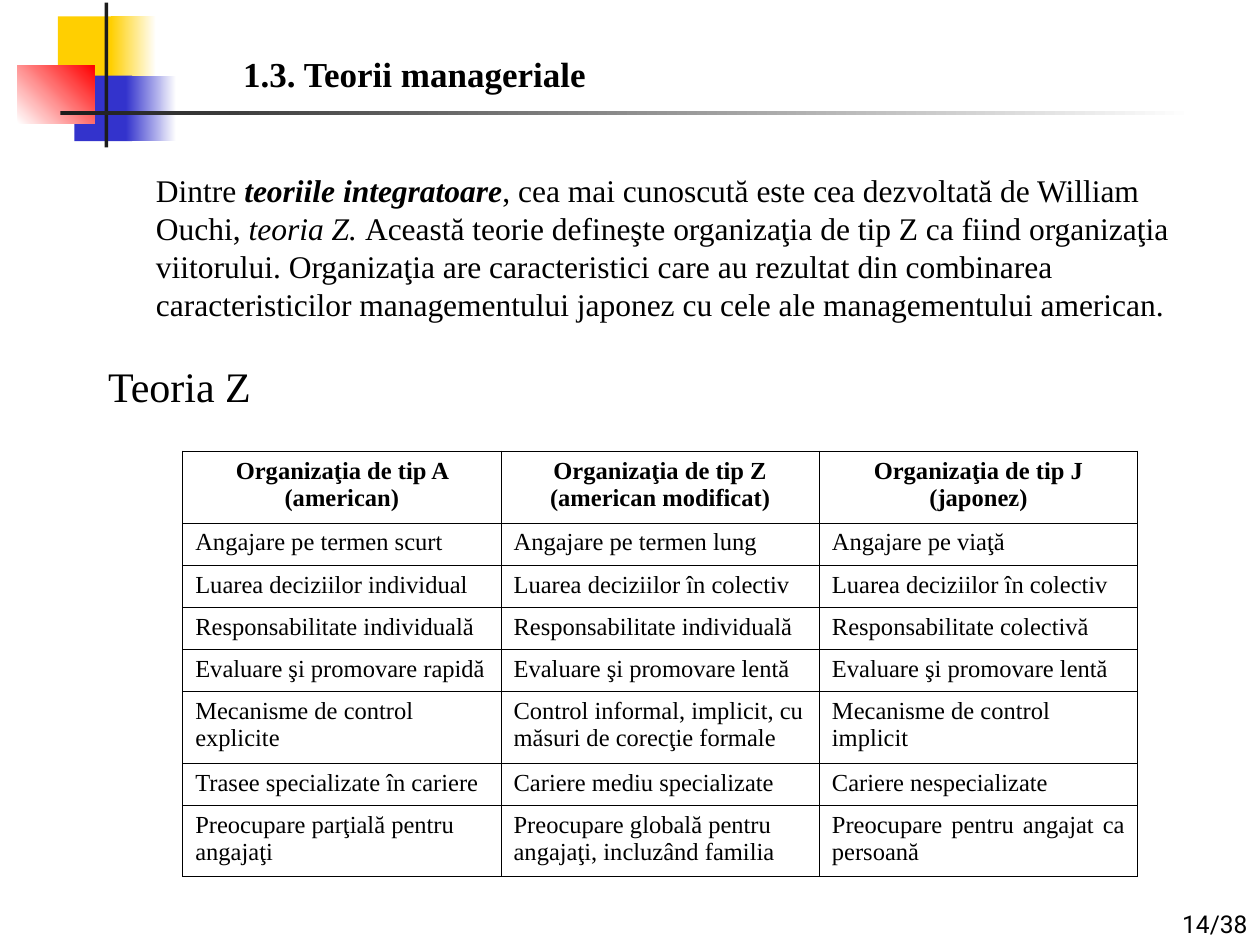
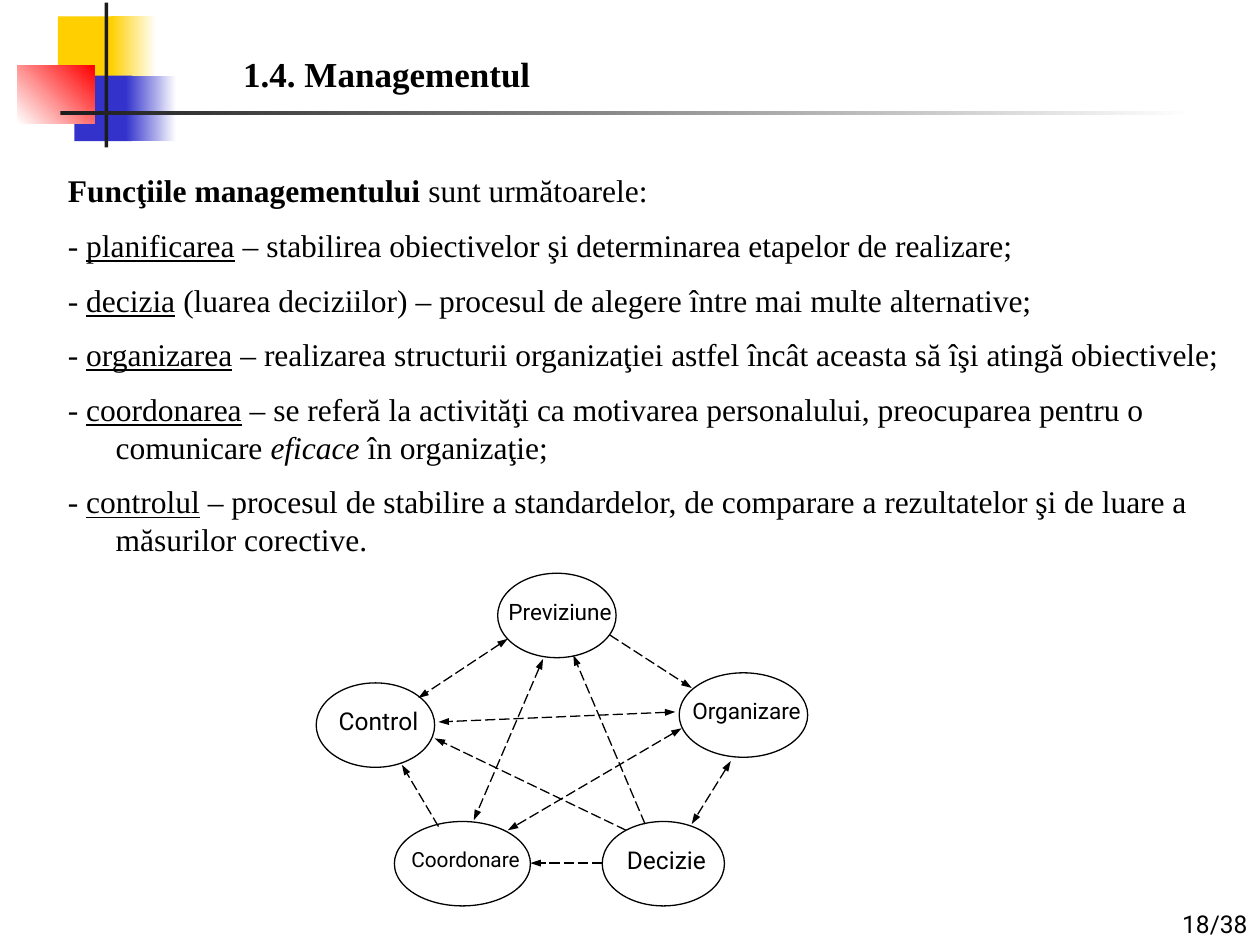
from lxml import etree
from pptx import Presentation
from pptx.dml.color import RGBColor
from pptx.enum.dml import MSO_LINE
from pptx.enum.shapes import MSO_CONNECTOR, MSO_SHAPE
from pptx.enum.text import MSO_ANCHOR, MSO_AUTO_SIZE, PP_ALIGN
from pptx.oxml.ns import qn
from pptx.util import Inches, Pt

RECTANGLE, ELLIPSE = MSO_SHAPE.RECTANGLE, MSO_SHAPE.OVAL
STRAIGHT, LONG_DASH = MSO_CONNECTOR.STRAIGHT, MSO_LINE.LONG_DASH
LEFT, CENTER, RIGHT, JUSTIFY = PP_ALIGN.LEFT, PP_ALIGN.CENTER, PP_ALIGN.RIGHT, PP_ALIGN.JUSTIFY
TOP, MIDDLE, BOTTOM = MSO_ANCHOR.TOP, MSO_ANCHOR.MIDDLE, MSO_ANCHOR.BOTTOM

BLACK = RGBColor(0x00, 0x00, 0x00)
WHITE = RGBColor(0xFF, 0xFF, 0xFF)
YELLOW = RGBColor(0xFF, 0xCF, 0x01)
BLUE = RGBColor(0x33, 0x33, 0xCC)
RED = RGBColor(0xFF, 0x00, 0x00)
CHARCOAL = RGBColor(0x1C, 0x1C, 0x1C)
SERIF, SANS = "Times New Roman", "Roboto"

ORNAMENT = [
    ((0.46, 0.13, 0.48, 0.52), (YELLOW,), 0),
    ((0.88, 0.13, 0.36, 0.52), (YELLOW, WHITE), 0),
    ((0.59, 0.6, 0.46, 0.52), (BLUE,), 0),
    ((1, 0.6, 0.4, 0.52), (BLUE, WHITE), 0),
    ((0.14, 0.52, 0.61, 0.46), (WHITE, RED), 45),
    ((0.83, 0.02, 0.03, 1.15), (CHARCOAL,), 0),
    ((0.48, 0.88, 9, 0.03), (CHARCOAL, WHITE), 0),
]

INTEGRATING_THEORIES = [
    ("Dintre ", ""),
    ("teoriile integratoare", "bi"),
    (", cea mai cunoscută este cea dezvoltată de William Ouchi, ", ""),
    ("teoria Z. ", "i"),
    ("Această teorie defineşte organizaţia de tip Z ca fiind organizaţia viitorului. "
     "Organizaţia are caracteristici care au rezultat din combinarea caracteristicilor "
     "managementului japonez cu cele ale managementului american.", ""),
]
THEORY_HEADING = [("Teoria Z", "")]

ORGANIZATION_TYPES = [
    ("Organizaţia de tip A (american)", "Organizaţia de tip Z\n(american modificat)",
     "Organizaţia de tip J\n(japonez)"),
    ("Angajare pe termen scurt", "Angajare pe termen lung", "Angajare pe viaţă"),
    ("Luarea deciziilor individual", "Luarea deciziilor în colectiv",
     "Luarea deciziilor în colectiv"),
    ("Responsabilitate individuală", "Responsabilitate individuală",
     "Responsabilitate colectivă"),
    ("Evaluare şi promovare rapidă", "Evaluare şi promovare lentă",
     "Evaluare şi promovare lentă"),
    ("Mecanisme de control explicite",
     "Control informal, implicit, cu măsuri de corecţie formale",
     "Mecanisme de control implicit"),
    ("Trasee specializate în cariere", "Cariere mediu specializate", "Cariere nespecializate"),
    ("Preocupare parţială pentru angajaţi",
     "Preocupare globală pentru angajaţi, incluzând familia",
     "Preocupare pentru angajat ca persoană"),
]
TWO_LINE_ROWS = {0, 5, 7}
JUSTIFIED_CELL = (7, 2)

FUNCTIONS = [
    [("Funcţiile managementului", "b"), (" sunt următoarele:", "")],
    [("- ", ""), ("planificarea", "u"),
     (" – stabilirea obiectivelor şi determinarea etapelor de realizare;", "")],
    [("- ", ""), ("decizia", "u"),
     (" (luarea deciziilor) – procesul de alegere între mai multe alternative;", "")],
    [("- ", ""), ("organizarea", "u"),
     (" – realizarea structurii organizaţiei astfel încât aceasta să îşi atingă obiectivele;", "")],
    [("- ", ""), ("coordonarea", "u"),
     (" – se referă la activităţi ca motivarea personalului, preocuparea pentru o comunicare ", ""),
     ("eficace", "i"), (" în organizaţie;", "")],
    [("- ", ""), ("controlul", "u"),
     (" – procesul de stabilire a standardelor, de comparare a rezultatelor "
      "şi de luare a măsurilor corective.", "")],
]

FUNCTION_NODES = [
    ("Previziune", 3.95, 4.55, 0.94, 12.9),
    ("Organizare", 5.39, 5.34, 1.02, 12.9),
    ("Control", 2.51, 5.42, 0.94, 14),
    ("Coordonare", 3.13, 6.52, 1.08, 11.9),
    ("Decizie", 4.78, 6.52, 0.97, 14),
]
NODE_HEIGHT = 0.67
ONE_WAY_LINKS = [
    (4.84, 5.04, 5.49, 5.46),
    (4.78, 6.85, 4.21, 6.85),
    (3.48, 6.56, 3.19, 6.07),
    (4.97, 6.59, 3.45, 5.86),
    (5.12, 6.54, 4.55, 5.2),
]
TWO_WAY_LINKS = [
    (4.03, 5.07, 3.32, 5.54),
    (5.8, 6.04, 5.49, 6.54),
    (4.31, 5.23, 3.76, 6.51),
    (5.41, 5.78, 4.03, 6.59),
    (5.36, 5.65, 3.48, 5.73),
]


def inches(*lengths):
    return [Inches(length) for length in lengths]


def style_paragraph(paragraph, size, name=SERIF, alignment=LEFT, bold=False):
    paragraph.alignment = alignment
    font = paragraph.font
    font.size, font.name, font.bold = Pt(size), name, bold
    font.color.rgb = BLACK


def add_text_box(slide, box, anchor=TOP):
    frame = slide.shapes.add_textbox(*inches(*box)).text_frame
    frame.word_wrap = True
    frame.vertical_anchor = anchor
    return frame


def add_paragraphs(frame, paragraphs):
    for index, (runs, size, gap, margin, indent) in enumerate(paragraphs):
        paragraph = frame.add_paragraph() if index else frame.paragraphs[0]
        properties = paragraph._p.get_or_add_pPr()
        properties.set("marL", str(Inches(margin)))
        properties.set("indent", str(Inches(indent)))
        paragraph.line_spacing = Pt(size * 1.2)
        if index:
            paragraph.space_before = Pt(gap)
        style_paragraph(paragraph, size)
        for text, flags in runs:
            run = paragraph.add_run()
            run.text = text
            if "b" in flags:
                run.font.bold = True
            if "i" in flags:
                run.font.italic = True
            if "u" in flags:
                run.font.underline = True


def add_ornament(slide):
    for box, colors, angle in ORNAMENT:
        shape = slide.shapes.add_shape(RECTANGLE, *inches(*box))
        shape.shadow.inherit = False
        shape.line.fill.background()
        if len(colors) == 1:
            shape.fill.solid()
            shape.fill.fore_color.rgb = colors[0]
        else:
            shape.fill.gradient()
            shape.fill.gradient_angle = angle
            for stop, color in zip(shape.fill.gradient_stops, colors):
                stop.color.rgb = color


def add_base_slide(presentation, title, number):
    slide = presentation.slides.add_slide(presentation.slide_layouts[5])
    add_ornament(slide)
    placeholder = slide.shapes.title
    (placeholder.left, placeholder.top,
     placeholder.width, placeholder.height) = inches(1.83, 0.37, 6, 0.44)
    frame = placeholder.text_frame
    frame.text = title
    frame.word_wrap = True
    frame.auto_size = MSO_AUTO_SIZE.NONE
    frame.vertical_anchor = TOP
    style_paragraph(frame.paragraphs[0], 20, bold=True)
    footer = add_text_box(slide, (6.83, 7, 3.17, 0.5), BOTTOM)
    footer.text = number
    style_paragraph(footer.paragraphs[0], 14, SANS, RIGHT)
    return slide


def set_cell_borders(cell):
    properties = cell._tc.get_or_add_tcPr()
    for position, side in enumerate(("lnL", "lnR", "lnT", "lnB")):
        line = etree.Element(qn("a:" + side), w=str(Pt(0.45)))
        fill = etree.SubElement(line, qn("a:solidFill"))
        etree.SubElement(fill, qn("a:srgbClr"), val=str(BLACK))
        properties.insert(position, line)


def add_organization_table(slide):
    rows, columns = len(ORGANIZATION_TYPES), len(ORGANIZATION_TYPES[0])
    table = slide.shapes.add_table(rows, columns, *inches(1.45, 3.58, 7.58, 3.37)).table
    for column in table.columns:
        column.width = Inches(7.58 / columns)
    for row, texts in enumerate(ORGANIZATION_TYPES):
        table.rows[row].height = Inches(0.57 if row in TWO_LINE_ROWS else 0.33)
        for column, text in enumerate(texts):
            cell = table.cell(row, column)
            cell.text = text
            cell.fill.background()
            set_cell_borders(cell)
            alignment = JUSTIFY if (row, column) == JUSTIFIED_CELL else LEFT
            for paragraph in cell.text_frame.paragraphs:
                style_paragraph(paragraph, 14, SERIF, alignment if row else CENTER, row == 0)


def add_node(slide, label, left, top, width, size):
    shape = slide.shapes.add_shape(ELLIPSE, *inches(left, top, width, NODE_HEIGHT))
    shape.shadow.inherit = False
    shape.fill.background()
    shape.line.color.rgb = BLACK
    shape.line.width = Pt(0.75)
    frame = shape.text_frame
    frame.text = label
    frame.word_wrap = False
    frame.vertical_anchor = MIDDLE
    (frame.margin_left, frame.margin_top,
     frame.margin_right, frame.margin_bottom) = inches(0.05, 0, 0, 0.07)
    style_paragraph(frame.paragraphs[0], size, SANS, CENTER)


def add_link(slide, ends, arrowheads):
    connector = slide.shapes.add_connector(STRAIGHT, *inches(*ends))
    connector.line.color.rgb = BLACK
    connector.line.width = Pt(0.75)
    connector.line.dash_style = LONG_DASH
    line = connector.line._get_or_add_ln()
    for arrowhead in arrowheads:
        etree.SubElement(line, qn("a:" + arrowhead), type="triangle", w="sm", len="med")
    etree.SubElement(connector._element.spPr, qn("a:effectLst"))


def build_theories_slide(presentation):
    slide = add_base_slide(presentation, "1.3. Teorii manageriale", "14/38")
    add_paragraphs(add_text_box(slide, (0.76, 1.31, 8.67, 2), MIDDLE), [
        (INTEGRATING_THEORIES, 18, 0, 0.38, 0),
        (THEORY_HEADING, 24, 21.5, 0.38, -0.38),
    ])
    add_organization_table(slide)


def build_functions_slide(presentation):
    slide = add_base_slide(presentation, "1.4. Managementul", "18/38")
    add_paragraphs(add_text_box(slide, (0.44, 1.31, 9.38, 3.17), MIDDLE),
                   [(runs, 18, 9.6, 0.38, -0.38) for runs in FUNCTIONS])
    for node in FUNCTION_NODES:
        add_node(slide, *node)
    for ends in ONE_WAY_LINKS:
        add_link(slide, ends, ["tailEnd"])
    for ends in TWO_WAY_LINKS:
        add_link(slide, ends, ["headEnd", "tailEnd"])


def main():
    presentation = Presentation()
    presentation.slide_width, presentation.slide_height = inches(10, 7.5)
    build_theories_slide(presentation)
    build_functions_slide(presentation)
    presentation.save("out.pptx")


if __name__ == "__main__":
    main()
